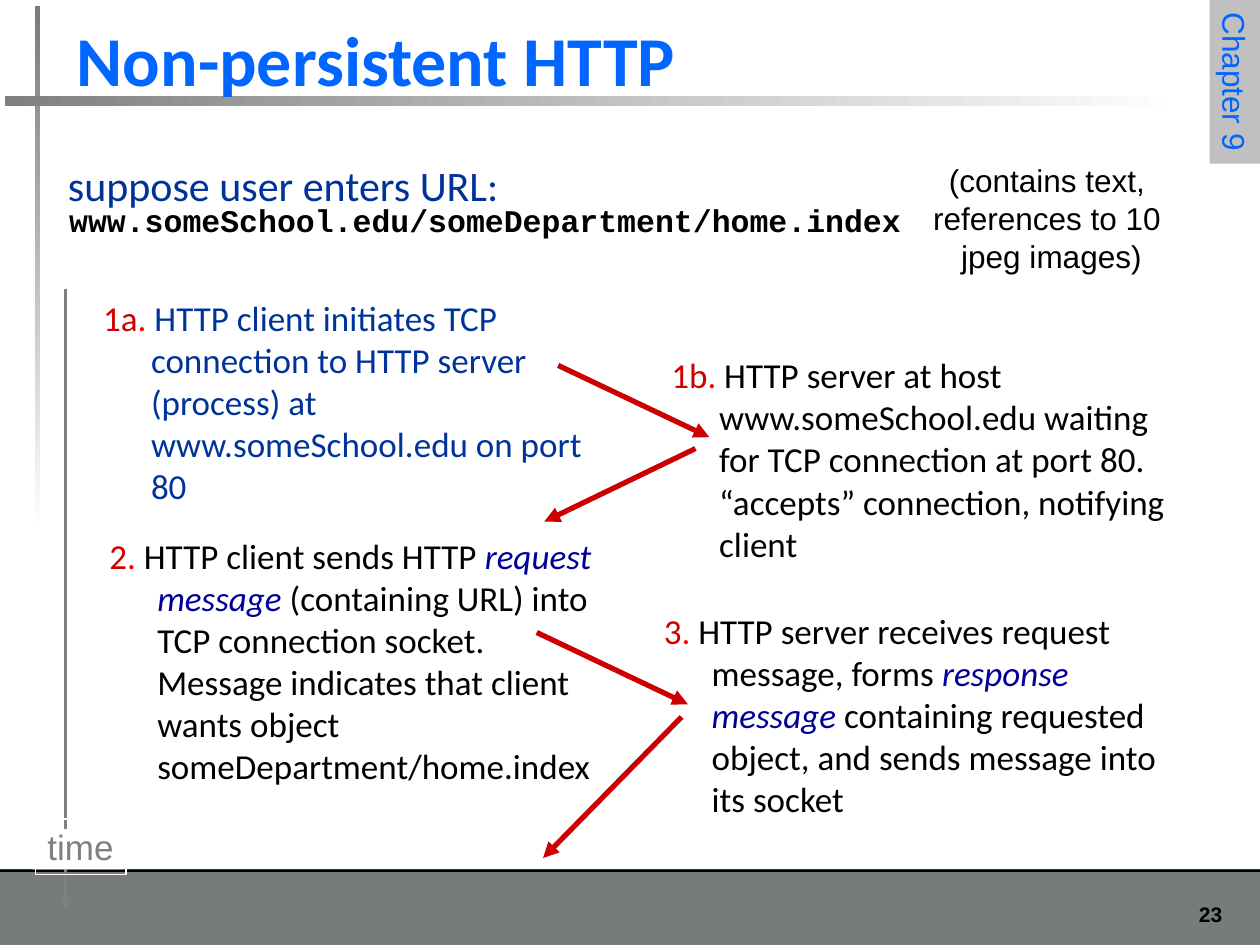
import pptx
import pptx.util
import pptx.dml.color
import pptx.enum.shapes
import pptx.enum.text
import pptx.oxml.ns
import lxml.etree

Inches = pptx.util.Inches
Align = pptx.enum.text.PP_ALIGN
BLUE, NAVY, INDIGO = "0066FF", "003399", "000099"
RED, BRIGHT_RED = "CC0000", "FF0000"
BLACK, WHITE, GRAY, SILVER, SLATE = "000000", "FFFFFF", "808080", "C0C0C0", "767D79"


def rgb(hex_color):
    """Turn a hex string into a colour."""
    return pptx.dml.color.RGBColor.from_string(hex_color)


def add_block(slide, box, fill=None, outline=None):
    """Add a plain rectangle."""
    block = slide.shapes.add_shape(
        pptx.enum.shapes.MSO_SHAPE.RECTANGLE, *map(Inches, box))
    block.shadow.inherit = False
    if fill:
        block.fill.solid()
        block.fill.fore_color.rgb = rgb(fill)
    else:
        block.fill.background()
    if outline:
        block.line.color.rgb = rgb(outline)
        block.line.width = pptx.util.Pt(0.75)
    else:
        block.line.fill.background()
    return block


def add_fading_bar(slide, box, colors, angle):
    """Add a rectangle that fades between two colours."""
    bar = add_block(slide, box)
    bar.fill.gradient()
    bar.fill.gradient_angle = angle
    for stop, color, position in zip(bar.fill.gradient_stops, colors, (0, 1)):
        stop.color.rgb = rgb(color)
        stop.position = position


def write(shape, lines, size, font, align=Align.LEFT, bold=False, wrap=True,
          anchor=pptx.enum.text.MSO_ANCHOR.TOP, hanging=False):
    """Write lines, each a list of (text, colour) runs; indigo runs are italic."""
    frame = shape.text_frame
    frame.auto_size = pptx.enum.text.MSO_AUTO_SIZE.NONE
    frame.word_wrap = wrap
    frame.vertical_anchor = anchor
    frame.margin_left = frame.margin_right = Inches(0.1)
    frame.margin_top = frame.margin_bottom = Inches(0.05)
    for index, runs in enumerate(lines):
        paragraph = frame.add_paragraph() if index else frame.paragraphs[0]
        paragraph.alignment = align
        if hanging:
            properties = paragraph._p.get_or_add_pPr()
            properties.set("marL", str(Inches(0.38)))
            properties.set("indent", str(Inches(-0.38)))
        for text, color in runs:
            run = paragraph.add_run()
            run.text = text
            run.font.name = font
            run.font.size = pptx.util.Pt(size)
            run.font.bold = bold
            run.font.italic = color == INDIGO
            run.font.color.rgb = rgb(color)


def add_text(slide, box, lines, size, font, **options):
    """Add a text box and return it."""
    text_box = slide.shapes.add_textbox(*map(Inches, box))
    write(text_box, lines, size, font, **options)
    return text_box


def add_arrow(slide, start, end, color, width):
    """Add a straight arrow from start to end."""
    arrow = slide.shapes.add_connector(
        pptx.enum.shapes.MSO_CONNECTOR.STRAIGHT, *map(Inches, start + end))
    arrow.line.color.rgb = rgb(color)
    arrow.line.width = pptx.util.Pt(width)
    qn = pptx.oxml.ns.qn
    head = lxml.etree.SubElement(arrow.line._get_or_add_ln(), qn("a:tailEnd"))
    head.set("type", "triangle")
    lxml.etree.SubElement(arrow.element.spPr, qn("a:effectLst"))


def add_frame(slide, width, height):
    """Draw the footer, the title rules and the chapter tab."""
    footer_top = height - 0.6
    add_block(slide, (0, footer_top, width, 0.6), SLATE)
    add_block(slide, (0, footer_top, width, 0.02), BLACK)
    add_text(slide, (9.17, footer_top + 0.21, 0.63, 0.3), [[("23", BLACK)]],
             12, "Arial", align=Align.RIGHT, bold=True)
    add_fading_bar(slide, (0.28, 0.05, 0.04, 4.17), (SLATE, WHITE), 270)
    add_fading_bar(slide, (0.04, 0.76, 9.37, 0.08), (WHITE, GRAY), 180)
    chapter = add_block(slide, (9.15, 0.45, 1.3, 0.4), SILVER)
    chapter.rotation = 90
    write(chapter, [[("Chapter 9", BLUE)]], 18, "Arial", wrap=False)


def add_title(slide, box):
    """Place the title in front of the rules."""
    title = slide.shapes.title
    title.left, title.top, title.width, title.height = map(Inches, box)
    write(title, [[("Non-persistent HTTP", BLUE)]], 40, "Calibri", bold=True,
          anchor=pptx.enum.text.MSO_ANCHOR.BOTTOM)
    title.element.getparent().append(title.element)


def add_request(slide, left, top, width):
    """Place the entered URL and the note on its content."""
    add_text(slide, (left, top, width, 0.51),
             [[("suppose user enters URL:", NAVY)]], 24, "Calibri", hanging=True)
    url = add_text(slide, (left + 0.01, top + 0.37, width, 0.51),
                   [[("www.someSchool.edu/someDepartment/home.index", BLACK)]],
                   18, "Courier New", bold=True, hanging=True)
    url.text_frame.paragraphs[0].line_spacing = 0.85
    note = ("(contains text, ", "references to 10 ", "jpeg images)")
    add_text(slide, (left + 6.87, top + 0.01, 2.07, 1),
             [[(line, BLACK)] for line in note],
             18, "Arial", align=Align.CENTER, wrap=False)


def add_time_axis(slide, x, top, bottom):
    """Draw the time axis and its label."""
    add_arrow(slide, (x, top), (x, bottom), GRAY, 1.5)
    add_block(slide, (x - 0.26, bottom - 0.63, 0.72, 0.32), WHITE)
    label = add_block(slide, (x - 0.24, bottom - 0.71, 0.72, 0.44), outline=WHITE)
    write(label, [[("time", GRAY)]], 20, "Arial", align=Align.CENTER, wrap=False)


def add_step(slide, box, number, runs):
    """Place one numbered step of the exchange."""
    add_text(slide, box, [[(number, RED), (".", BRIGHT_RED)] + runs],
             20, "Calibri", hanging=True)


def add_exchange(slide):
    """Place the client and server steps and the messages between them."""
    steps = [
        ((0.72, 2.3, 4.31, 2.08), "1a", [
            (" HTTP client initiates TCP connection to HTTP server (process) at "
             "www.someSchool.edu on port 80", NAVY)]),
        ((0.77, 4.19, 4.17, 1.18), "2", [
            (" HTTP client sends HTTP ", BLACK), ("request message", INDIGO),
            (" (containing URL) into TCP connection socket. Message indicates "
             "that client wants object someDepartment/home.index", BLACK)]),
        ((5.23, 2.76, 4.17, 1.65), "1b", [
            (" HTTP server at host www.someSchool.edu waiting for TCP connection "
             "at port 80. “accepts” connection, notifying client", BLACK)]),
        ((5.17, 4.79, 4.17, 1.97), "3", [
            (" HTTP server receives request message, forms ", BLACK),
            ("response message", INDIGO),
            (" containing requested object, and sends message into its socket",
             BLACK)]),
    ]
    for box, number, runs in steps:
        add_step(slide, box, number, runs)
    messages = [
        ((4.43, 2.9), (5.63, 3.47)),
        ((5.52, 3.56), (4.32, 4.14)),
        ((4.26, 5.02), (5.46, 5.59)),
        ((5.41, 5.69), (4.31, 6.81)),
    ]
    for start, end in messages:
        add_arrow(slide, start, end, RED, 3)


def main():
    """Build the slide and save it."""
    deck = pptx.Presentation()
    deck.slide_width, deck.slide_height = Inches(10), Inches(7.5)
    slide = deck.slides.add_slide(deck.slide_layouts.get_by_name("Title Only"))
    add_frame(slide, 10, 7.5)
    add_title(slide, (0.51, -0.1, 8.5, 0.95))
    add_time_axis(slide, 0.52, 2.29, 7.21)
    add_request(slide, 0.44, 1.22, 8.69)
    add_exchange(slide)
    deck.save("out.pptx")


if __name__ == "__main__":
    main()
